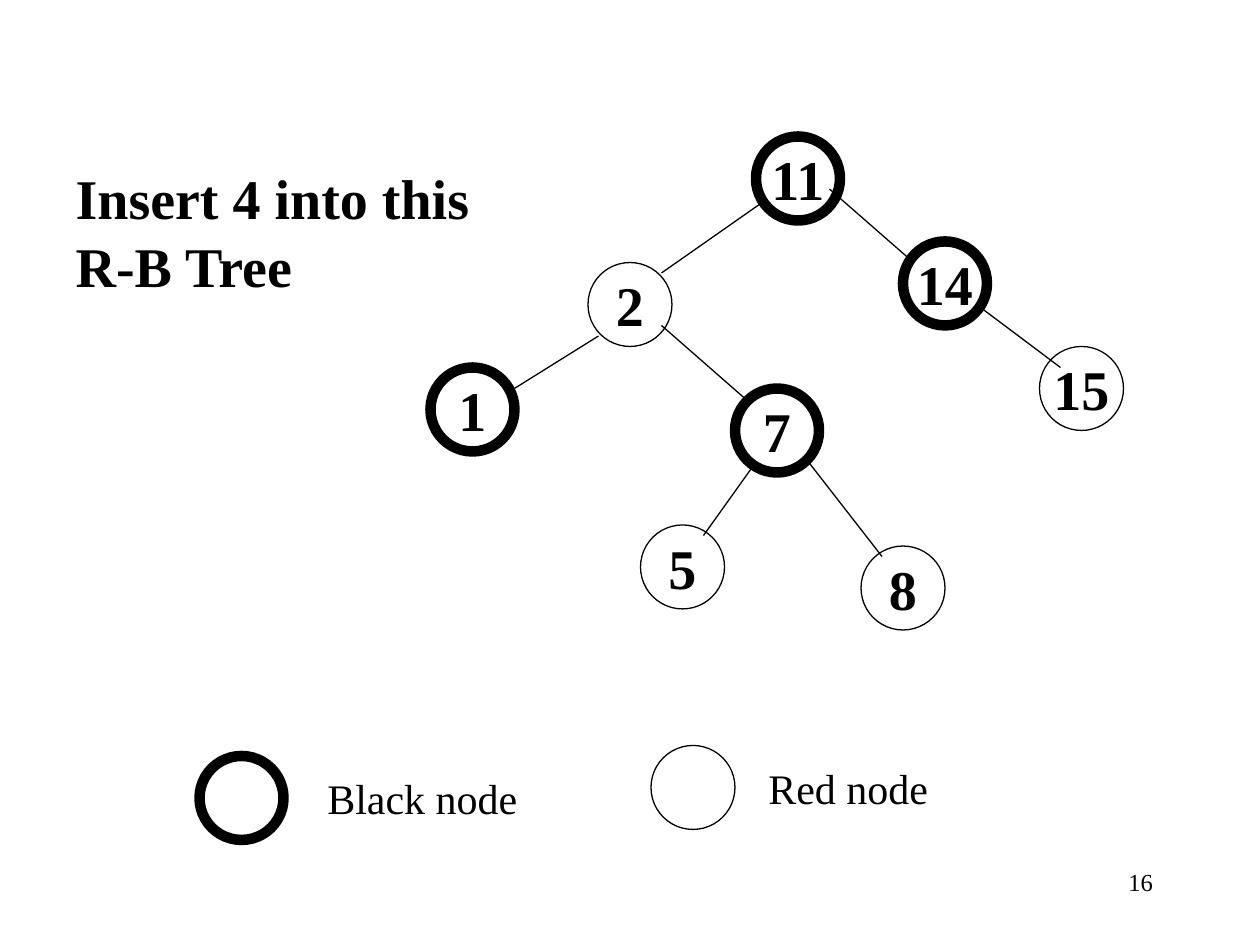
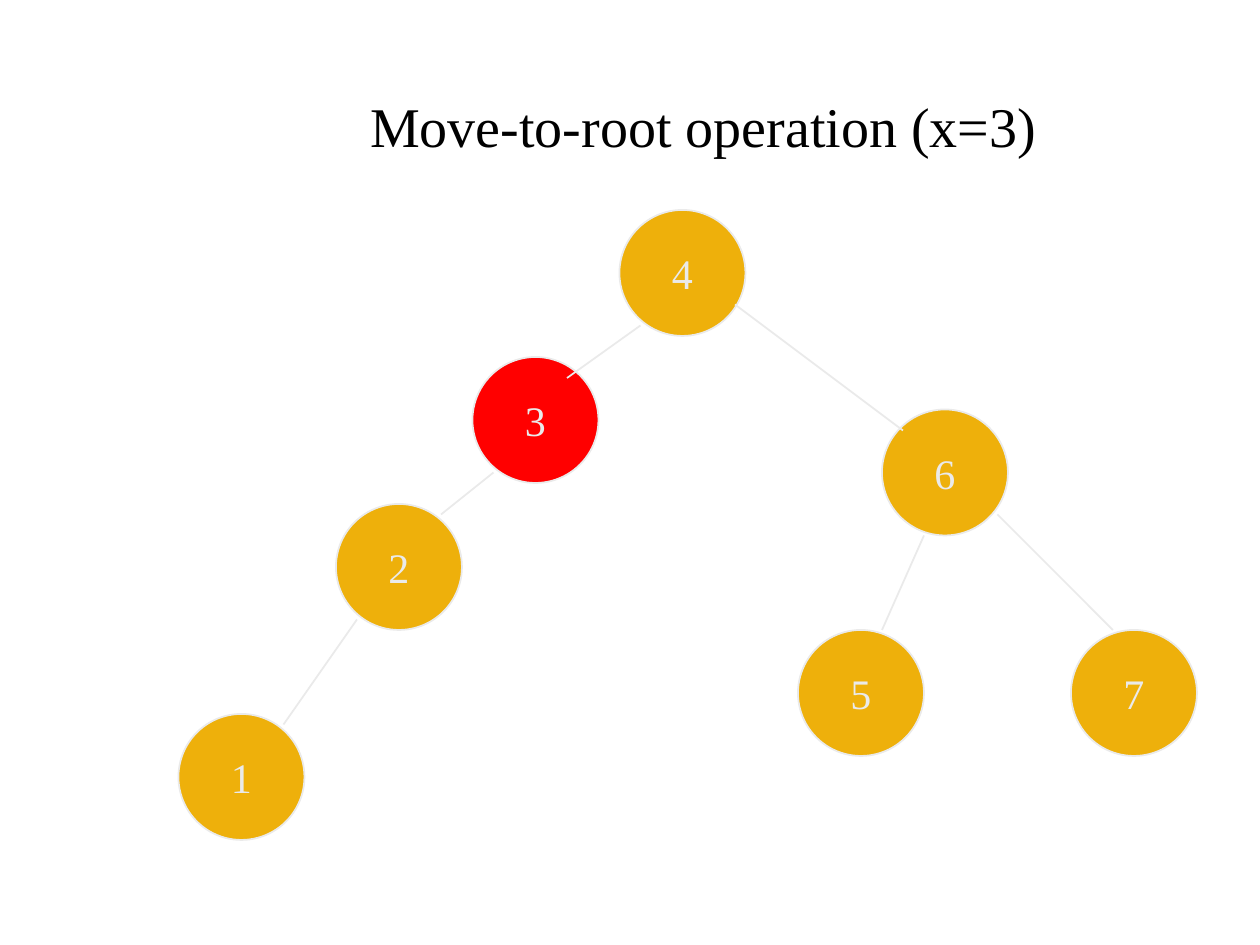
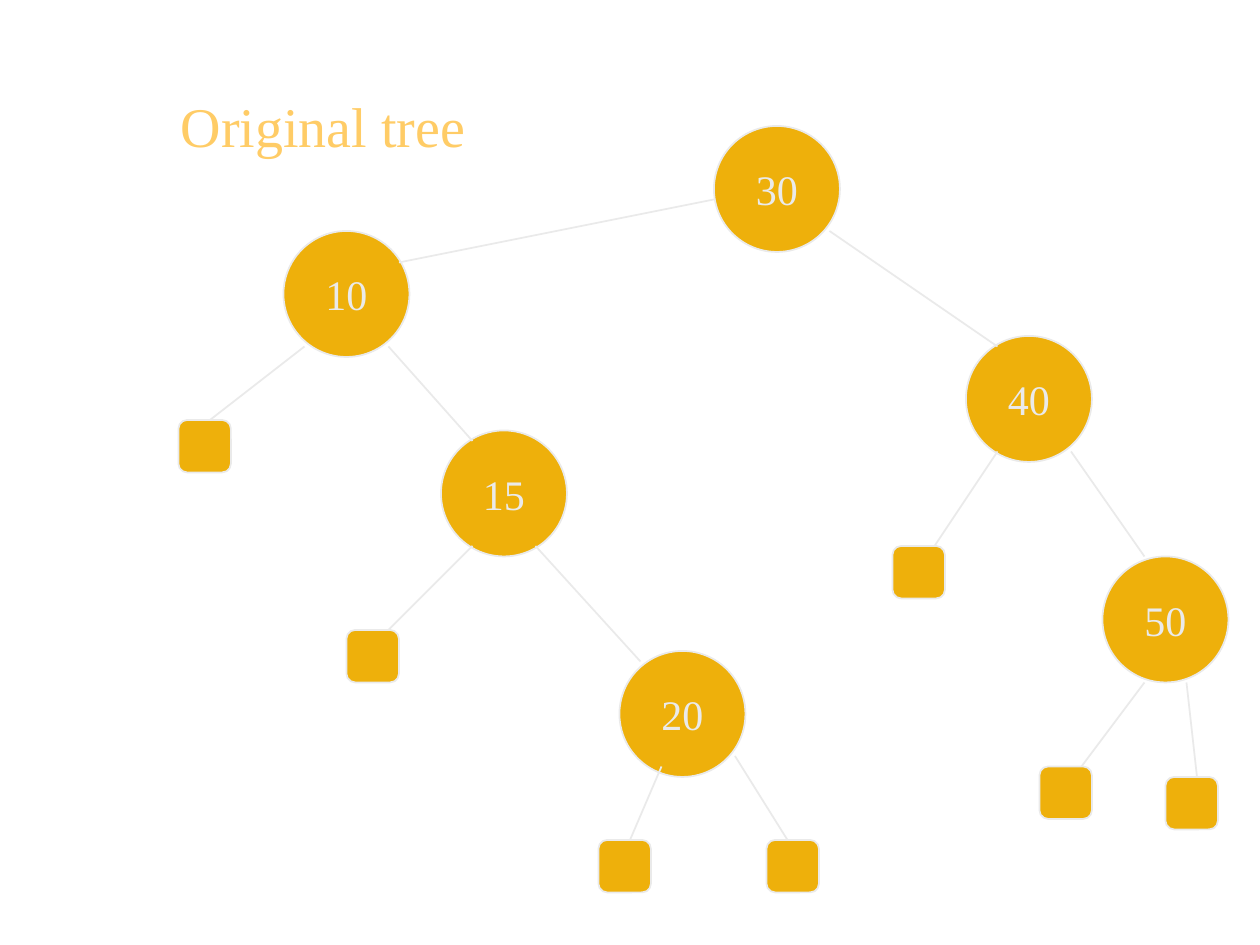
"""Build three slides of search trees on a grid of twelfths of an inch."""
import pptx
import pptx.dml.color
import pptx.enum.shapes
import pptx.enum.text
import pptx.oxml
import pptx.oxml.ns
import pptx.util

RGBColor = pptx.dml.color.RGBColor
Pt = pptx.util.Pt
SHAPE = pptx.enum.shapes.MSO_SHAPE
ALIGN = pptx.enum.text.PP_ALIGN
ANCHOR = pptx.enum.text.MSO_ANCHOR

BLACK = RGBColor(0x00, 0x00, 0x00)
WHITE = RGBColor(0xFF, 0xFF, 0xFF)
GOLD = RGBColor(0xEE, 0xB0, 0x0B)
RED = RGBColor(0xFF, 0x00, 0x00)
PALE = RGBColor(0xEA, 0xEA, 0xEA)
CREAM = RGBColor(0xFF, 0xCC, 0x66)

FONT = "Times New Roman"
COLS, ROWS = 120, 90
TITLE_BOX = (16, 4, 102, 15.8)
RB_SIZE, TREE_SIZE, LEAF_SIZE = 8, 12, 5
THICK, THIN = 6, 0.75
TREE_LINE = 1


class Deck:
    """Hold the style and the current slide, and draw elements on the grid."""

    def __init__(self):
        self.prs = pptx.Presentation()
        self.prs.slide_width = pptx.util.Inches(10)
        self.prs.slide_height = pptx.util.Inches(7.5)
        self.slide = None

    def x(self, col):
        return round(self.prs.slide_width * col / COLS)

    def y(self, row):
        return round(self.prs.slide_height * row / ROWS)

    def box(self, left, top, width, height):
        return self.x(left), self.y(top), self.x(width), self.y(height)

    def new_slide(self):
        self.slide = self.prs.slides.add_slide(self.prs.slide_layouts[5])

    def fill_text(self, sp, text, size, color=BLACK, bold=False, align=ALIGN.LEFT,
                  anchor=ANCHOR.TOP, wrap=True):
        tf = sp.text_frame
        frame = {"word_wrap": wrap, "vertical_anchor": anchor,
                 "auto_size": pptx.enum.text.MSO_AUTO_SIZE.NONE}
        for name, value in frame.items():
            setattr(tf, name, value)
        p = tf.paragraphs[0]
        p.alignment = align
        r = p.add_run()
        r.text = text
        for name, value in {"name": FONT, "size": Pt(size), "bold": bold}.items():
            setattr(r.font, name, value)
        r.font.color.rgb = color

    def title(self, text, box=TITLE_BOX, anchor=ANCHOR.MIDDLE, **style):
        sp = self.slide.shapes.title
        for name, value in zip(("left", "top", "width", "height"), self.box(*box)):
            setattr(sp, name, value)
        self.fill_text(sp, text, 32, anchor=anchor, **style)

    def text(self, text, box, size, **style):
        sp = self.slide.shapes.add_textbox(*self.box(*box))
        self.fill_text(sp, text, size, **style)

    def shape(self, kind, col, row, size, fill, line, width):
        sp = self.slide.shapes.add_shape(kind, *self.box(col, row, size, size))
        sp.shadow.inherit = False
        sp.fill.solid()
        sp.fill.fore_color.rgb = fill
        sp.line.color.rgb = line
        sp.line.width = Pt(width)
        return sp

    def rb_node(self, col, row, black, key=None):
        sp = self.shape(SHAPE.OVAL, col, row, RB_SIZE, WHITE, BLACK,
                        THICK if black else THIN)
        if key:
            self.fill_text(sp, key, 32, bold=True, align=ALIGN.CENTER,
                           anchor=ANCHOR.MIDDLE, wrap=False)

    def tree_node(self, key, col, row, fill=GOLD):
        sp = self.shape(SHAPE.OVAL, col, row, TREE_SIZE, fill, PALE, TREE_LINE)
        self.fill_text(sp, key, 24, color=PALE, align=ALIGN.CENTER,
                       anchor=ANCHOR.MIDDLE, wrap=False)

    def leaf(self, col, row):
        self.shape(SHAPE.ROUNDED_RECTANGLE, col, row, LEAF_SIZE, GOLD, PALE, TREE_LINE)

    def edges(self, ends, color=PALE, width=TREE_LINE):
        for x1, y1, x2, y2 in ends:
            cn = self.slide.shapes.add_connector(
                pptx.enum.shapes.MSO_CONNECTOR.STRAIGHT,
                self.x(x1), self.y(y1), self.x(x2), self.y(y2))
            cn.line.color.rgb = color
            cn.line.width = Pt(width)
            pr = cn.element.find(pptx.oxml.ns.qn("p:spPr"))
            pr.append(pptx.oxml.parse_xml(
                f'<a:effectLst {pptx.oxml.ns.nsdecls("a")}/>'))


def insert_slide(deck):
    deck.new_slide()
    deck.title("Insert 4 into this R-B Tree", (6, 15, 41, 14),
               anchor=ANCHOR.TOP, bold=True)
    deck.text("16", (86, 82, 25, 6), 14, align=ALIGN.RIGHT)
    for key, col, row, black in (
            ("11", 72, 13, True), ("14", 86, 23, True), ("15", 99, 33, False),
            ("2", 56, 25, False), ("1", 41, 35, True), ("7", 70, 37, True),
            ("5", 61, 50, False), ("8", 82, 52, False)):
        deck.rb_node(col, row, black, key)
    deck.edges([(73, 19, 63, 26), (57, 32, 49, 37), (63, 31, 71, 38),
                (72, 44, 67, 51), (77, 44, 84, 53), (79, 18, 87, 25),
                (93, 29, 101, 35)], BLACK, THIN)
    for label, col, row, black, text_col in (
            ("Black node", 19, 72, True, 30), ("Red node", 62, 71, False, 72)):
        deck.rb_node(col, row, black)
        deck.text(label, (text_col, row + 1, 24, 6), 24)


def move_to_root_slide(deck):
    deck.new_slide()
    deck.title("Move-to-root operation (x=3)", align=ALIGN.CENTER)
    for node in (("2", 32, 48), ("4", 59, 20), ("6", 84, 39), ("1", 17, 68),
                 ("3", 45, 34, RED), ("5", 76, 60), ("7", 102, 60)):
        deck.tree_node(*node)
    deck.edges([(61, 31, 54, 36), (70, 29, 86, 41), (34, 59, 27, 69),
                (88, 51, 84, 60), (95, 49, 106, 60), (47, 45, 42, 49)])


def original_tree_slide(deck):
    deck.new_slide()
    deck.title("Original tree", color=CREAM)
    for node in (("30", 68, 12), ("15", 42, 41), ("10", 27, 22),
                 ("20", 59, 62), ("40", 92, 32), ("50", 105, 53)):
        deck.tree_node(*node)
    deck.edges([(38, 25, 68, 19), (37, 33, 45, 42), (79, 22, 95, 33),
                (102, 43, 109, 53), (51, 52, 61, 63)])
    for col, row in ((33, 60), (57, 80), (73, 80), (99, 73), (111, 74),
                     (85, 52), (17, 40)):
        deck.leaf(col, row)
    deck.edges([(20, 40, 29, 33), (37, 60, 45, 52), (60, 80, 63, 73),
                (75, 80, 70, 72), (103, 73, 109, 65), (89, 52, 95, 43),
                (114, 74, 113, 65)])


def main():
    deck = Deck()
    for build in (insert_slide, move_to_root_slide, original_tree_slide):
        build(deck)
    deck.prs.save("out.pptx")


if __name__ == "__main__":
    main()
